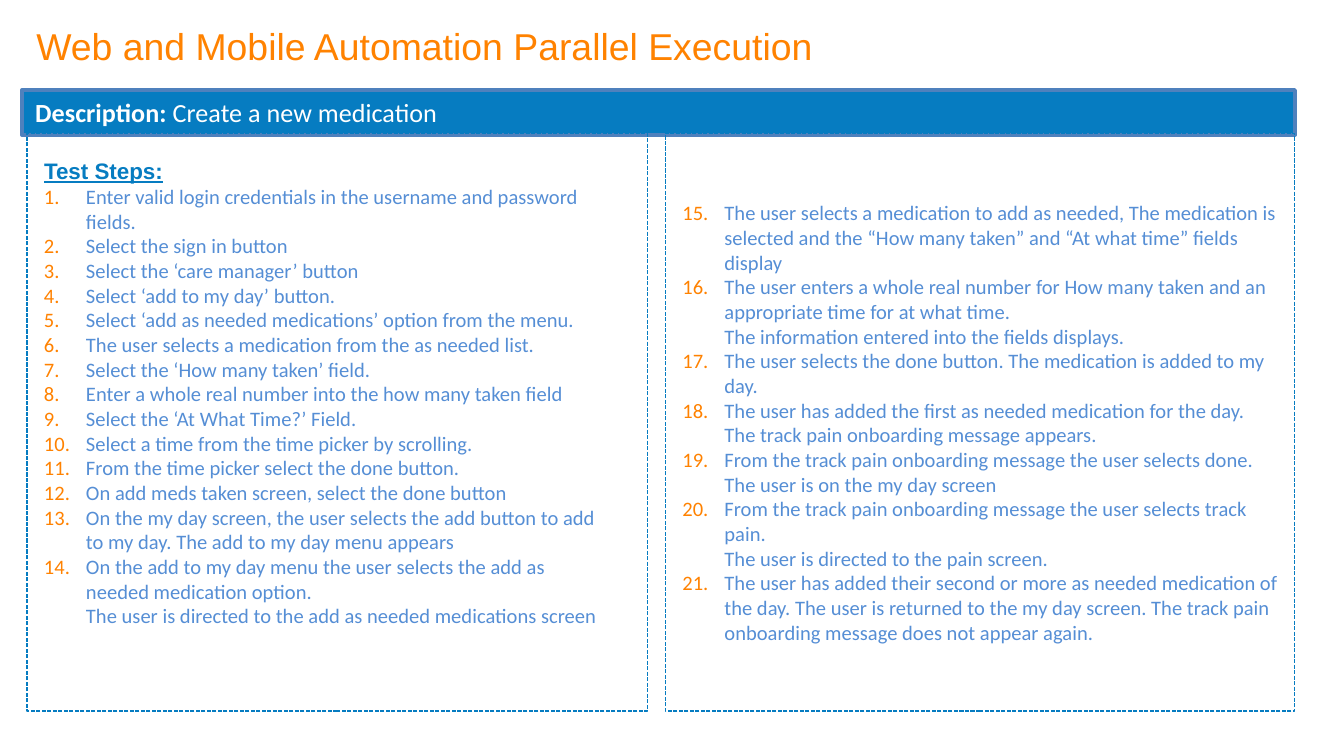
from pptx import Presentation
from pptx.dml.color import RGBColor
from pptx.enum import dml, shapes, text
from pptx.oxml import ns, xmlchemy
from pptx.util import Pt

TITLE = "Web and Mobile Automation Parallel Execution"
BAR = [("Description: ", True), ("Create a new medication", False)]
HEAD = "Test Steps:"
STEPS = [
    "Enter valid login credentials in the username and password fields.",
    "Select the sign in button",
    "Select the ‘care manager’ button",
    "Select ‘add to my day’ button.",
    "Select ‘add as needed medications’ option from the menu.",
    "The user selects a medication from the as needed list.",
    "Select the ‘How many taken’ field.",
    "Enter a whole real number into the how many taken field",
    "Select the ‘At What Time?’ Field.",
    "Select a time from the time picker by scrolling.",
    "From the time picker select the done button.",
    "On add meds taken screen, select the done button",
    "On the my day screen, the user selects the add button to add to my day. "
    "The add to my day menu appears",
    "On the add to my day menu the user selects the add as needed medication option.\n"
    "The user is directed to the add as needed medications screen",
    "The user selects a medication to add as needed, The medication is selected "
    "and the “How many taken” and “At what time” fields display",
    "The user enters a whole real number for How many taken and an appropriate "
    "time for at what time.\nThe information entered into the fields displays.",
    "The user selects the done button. The medication is added to my day.",
    "The user has added the first as needed medication for the day.\n"
    "The track pain onboarding message appears.",
    "From the track pain onboarding message the user selects done.\n"
    "The user is on the my day screen",
    "From the track pain onboarding message the user selects track pain.\n"
    "The user is directed to the pain screen.",
    "The user has added their second or more as needed medication of the day. "
    "The user is returned to the my day screen. The track pain onboarding "
    "message does not appear again.",
]
SPLIT = 14  # steps in the left column

BLUE, ORANGE, STEEL, PALE = "067CC1", "FF8200", "4F81BD", "558ED5"
HEADFONT = dict(name="Arial", size=Pt(12), bold=True, underline=True)
BARFONT = dict(name="Calibri", size=Pt(14))
STEPFONT = dict(name="Calibri", size=Pt(11))
TITLEFONT = dict(name="Arial", size=Pt(20))


def rgb(code):
    return RGBColor.from_string(code)


def style(run, look, color):
    for key, val in look.items():
        setattr(run.font, key, val)
    run.font.color.rgb = rgb(color)


def frame(shape, anchor):
    body = shape.text_frame
    for key, val in dict(word_wrap=True, vertical_anchor=anchor,
                         auto_size=text.MSO_AUTO_SIZE.NONE).items():
        setattr(body, key, val)
    return body


def box(spot, color, width):
    shape = slide.shapes.add_shape(shapes.MSO_SHAPE.RECTANGLE, *map(Pt, spot))
    shape.shadow.inherit = False
    shape.fill.background()
    shape.line.color.rgb = rgb(color)
    shape.line.width = Pt(width)
    return shape


def child(parent, tag, **attrs):
    node = xmlchemy.OxmlElement(tag)
    for key, val in attrs.items():
        node.set(key, str(val))
    parent.append(node)
    return node


def number(para, step, start):
    """Write one step as an automatically numbered paragraph."""
    para.text = step
    para.alignment = text.PP_ALIGN.LEFT
    for run in para.runs:
        style(run, STEPFONT, PALE)
    for gap in para._p.findall(ns.qn("a:br")):
        child(gap, "a:rPr", sz=1100)
    props = para._p.get_or_add_pPr()
    props.set("marL", str(Pt(24.5)))
    props.set("indent", str(Pt(-22.5)))
    child(child(props, "a:buClr"), "a:srgbClr", val=ORANGE)
    child(props, "a:buFont", typeface="+mj-lt")
    child(props, "a:buAutoNum", type="arabicPeriod", startAt=start)


deck = Presentation()
deck.slide_width, deck.slide_height = Pt(720), Pt(405)
slide = deck.slides.add_slide(deck.slide_layouts[5])

title = slide.shapes.title
title.left, title.top, title.width, title.height = map(Pt, (12.25, 0, 648, 48.5))
body = frame(title, text.MSO_ANCHOR.MIDDLE)
body.text = TITLE
body.paragraphs[0].alignment = text.PP_ALIGN.LEFT
style(body.paragraphs[0].runs[0], TITLEFONT, ORANGE)

left = slide.shapes.add_textbox(*map(Pt, (14.5, 73.5, 315.5, 296)))
body = frame(left, text.MSO_ANCHOR.TOP)
para = body.paragraphs[0]
para.line_spacing, para.space_before = 1.5, Pt(1)
para._p.get_or_add_pPr().set("marL", str(Pt(2)))
run = para.add_run()
run.text = HEAD
style(run, HEADFONT, BLUE)
for step in STEPS[:SPLIT]:
    number(body.add_paragraph(), step, 1)

bar = box((11.75, 48.25, 682, 24), STEEL, 2)
bar.fill.solid()
bar.fill.fore_color.rgb = rgb(BLUE)
para = frame(bar, text.MSO_ANCHOR.MIDDLE).paragraphs[0]
para.alignment, para.space_before = text.PP_ALIGN.LEFT, Pt(0.8)
for words, bold in BAR:
    run = para.add_run()
    run.text = words
    style(run, dict(BARFONT, bold=bold), "FFFFFF")

for x, width in ((14.5, 332.5), (356.5, 337)):
    panel = box((x, 71.5, width, 309.5), BLUE, 0.75)
    panel.line.dash_style = dml.MSO_LINE.SQUARE_DOT

body = frame(panel, text.MSO_ANCHOR.MIDDLE)
for i, step in enumerate(STEPS[SPLIT:]):
    number(body.add_paragraph() if i else body.paragraphs[0], step, SPLIT + 1)

deck.save("out.pptx")
